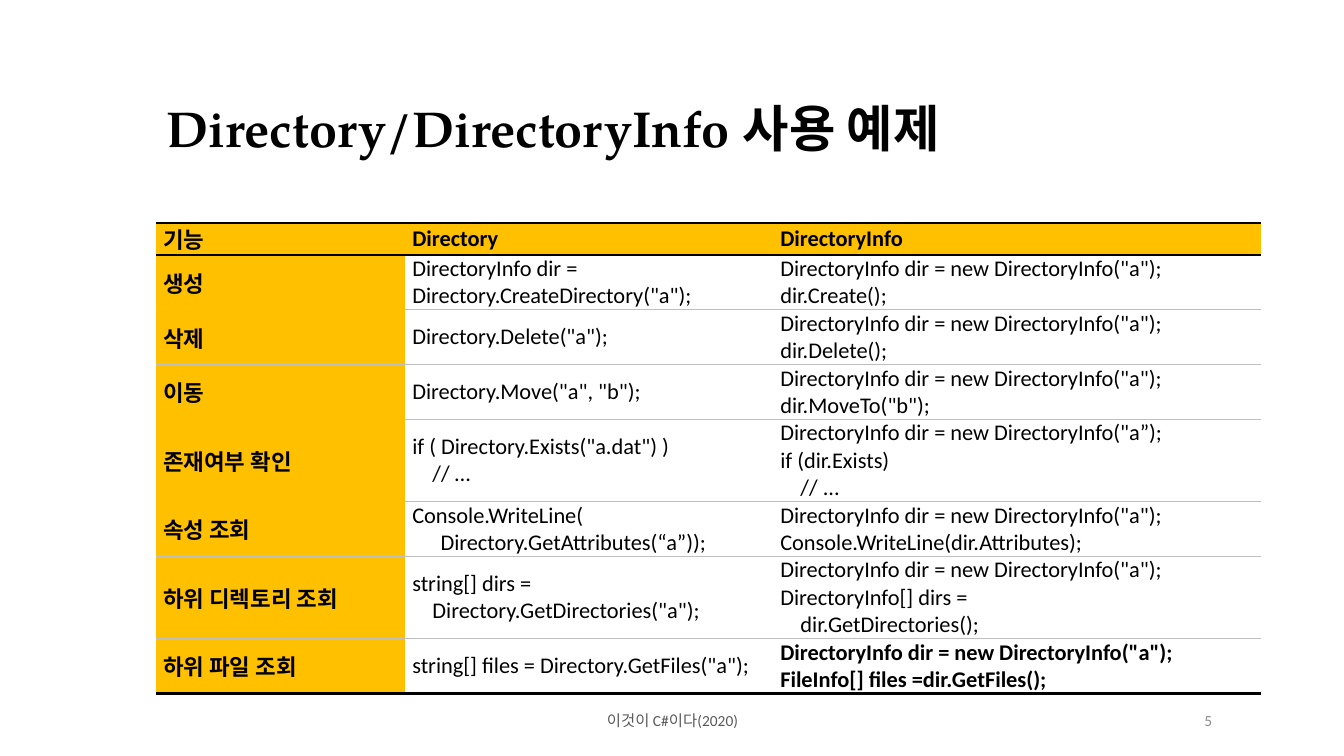
from lxml.etree import SubElement
from pptx import Presentation
from pptx.dml.color import RGBColor
from pptx.enum.text import MSO_ANCHOR, MSO_AUTO_SIZE, PP_ALIGN
from pptx.oxml.ns import qn
from pptx.util import Inches, Pt

BLACK, GRAY, GOLD, WHITE = "000000", "BFBFBF", "FFC000", "FFFFFF"
NO_STYLE = "{2D5ABB26-0587-4C30-8999-92F81FD0307C}"
LINE_HEIGHT = 0.27
COLUMN_WIDTHS = [2.47, 3.65, 4.84]
CREATE_INFO = 'DirectoryInfo dir = new DirectoryInfo("a");\n'

# Function, static method, instance method
ROWS = [
    ("기능", "Directory", "DirectoryInfo"),
    ("생성", 'DirectoryInfo dir = \nDirectory.CreateDirectory("a");\u00a0',
     CREATE_INFO + "dir.Create();"),
    ("삭제", 'Directory.Delete("a");', CREATE_INFO + "dir.Delete();"),
    ("이동", 'Directory.Move("a", "b");', CREATE_INFO + 'dir.MoveTo("b");'),
    ("존재여부 확인", 'if ( Directory.Exists("a.dat") ) \n    // …',
     'DirectoryInfo dir = new DirectoryInfo("a”);\nif (dir.Exists)\n    // ...'),
    ("속성 조회", "Console.WriteLine(\nDirectory.GetAttributes(“a”));",
     CREATE_INFO + "Console.WriteLine(dir.Attributes);"),
    ("하위 디렉토리 조회", 'string[] dirs = \n    Directory.GetDirectories("a");',
     CREATE_INFO + "DirectoryInfo[] dirs = \n    dir.GetDirectories();"),
    ("하위 파일 조회", 'string[] files = Directory.GetFiles("a");',
     CREATE_INFO + "FileInfo[] files =dir.GetFiles();"),
]
LAST = len(ROWS) - 1
ATTRIBUTES_ROW = 5
UNRULED_LABELS = (3, 4)


def write(frame, text, size=16, font="Calibri", color=BLACK, bold=False,
          align=PP_ALIGN.JUSTIFY):
    frame.word_wrap = True
    for number, line in enumerate(text.split("\n")):
        para = frame.add_paragraph() if number else frame.paragraphs[0]
        para.alignment = align
        span = para.add_run()
        span.text = line
        span.font.size, span.font.name, span.font.bold = Pt(size), font, bold
        span.font.color.rgb = RGBColor.from_string(color)


def rule(cell, edge, color, width):
    line = SubElement(cell._tc.get_or_add_tcPr(), qn("a:" + edge), w=str(Pt(width)))
    fill = SubElement(line, qn("a:solidFill"))
    SubElement(fill, qn("a:srgbClr"), val=color)


deck = Presentation()
deck.slide_width, deck.slide_height = Inches(13.33), Inches(7.5)
page = deck.slides.add_slide(deck.slide_layouts[5])

# Title
title = page.shapes.title
title.left, title.top = Inches(1.55), Inches(0.93)
title.width, title.height = Inches(10.48), Inches(3.07)
frame = title.text_frame
frame.auto_size = MSO_AUTO_SIZE.NONE
frame.vertical_anchor = MSO_ANCHOR.TOP
frame.margin_left = frame.margin_right = Inches(0.1)
frame.margin_top = frame.margin_bottom = Inches(0.1)
write(frame, "Directory/DirectoryInfo 사용 예제", size=36, font="TeX Gyre Pagella",
      bold=True, align=PP_ALIGN.LEFT)
frame.paragraphs[0].line_spacing = 0.9

# Comparison table
line_counts = [max(text.count("\n") + 1 for text in row) for row in ROWS]
heights = [0.32] + [LINE_HEIGHT * count for count in line_counts[1:]]
table = page.shapes.add_table(
    len(ROWS), len(COLUMN_WIDTHS), Inches(1.55), Inches(2.21),
    Inches(sum(COLUMN_WIDTHS)), Inches(sum(heights))).table
table.horz_banding = False
table._tbl.tblPr.find(qn("a:tableStyleId")).text = NO_STYLE
for column, width in zip(table.columns, COLUMN_WIDTHS):
    column.width = Inches(width)

for r, texts in enumerate(ROWS):
    table.rows[r].height = Inches(heights[r])
    for c, text in enumerate(texts):
        cell = table.cell(r, c)
        cell.vertical_anchor = MSO_ANCHOR.MIDDLE
        cell.margin_left = cell.margin_right = Inches(0.07)
        cell.margin_top = cell.margin_bottom = 0
        label = r == 0 or c == 0
        write(cell.text_frame, text, bold=label or (r == LAST and c == 2))
        if r == 0:
            rule(cell, "lnT", BLACK, 2)
        if r in (0, LAST):
            rule(cell, "lnB", BLACK, 2)
        elif c or r not in UNRULED_LABELS:
            rule(cell, "lnB", GRAY, 1)
        cell.fill.solid()
        cell.fill.fore_color.rgb = RGBColor.from_string(GOLD if label else WHITE)

# Indented argument of the attribute call
argument = table.cell(ATTRIBUTES_ROW, 1).text_frame.paragraphs[1]
argument._p.get_or_add_pPr().set("indent", str(Inches(0.28)))

# Footer and page number
for text, left, width, color, align in [
        ("이것이 C#이다(2020)", 4.42, 4.5, "595959", PP_ALIGN.CENTER),
        ("5", 9.42, 2.7, "8C8C8C", PP_ALIGN.RIGHT)]:
    box = page.shapes.add_textbox(Inches(left), Inches(6.95), Inches(width), Inches(0.4))
    box.text_frame.vertical_anchor = MSO_ANCHOR.MIDDLE
    write(box.text_frame, text, size=11, color=color, align=align)

deck.save("out.pptx")
